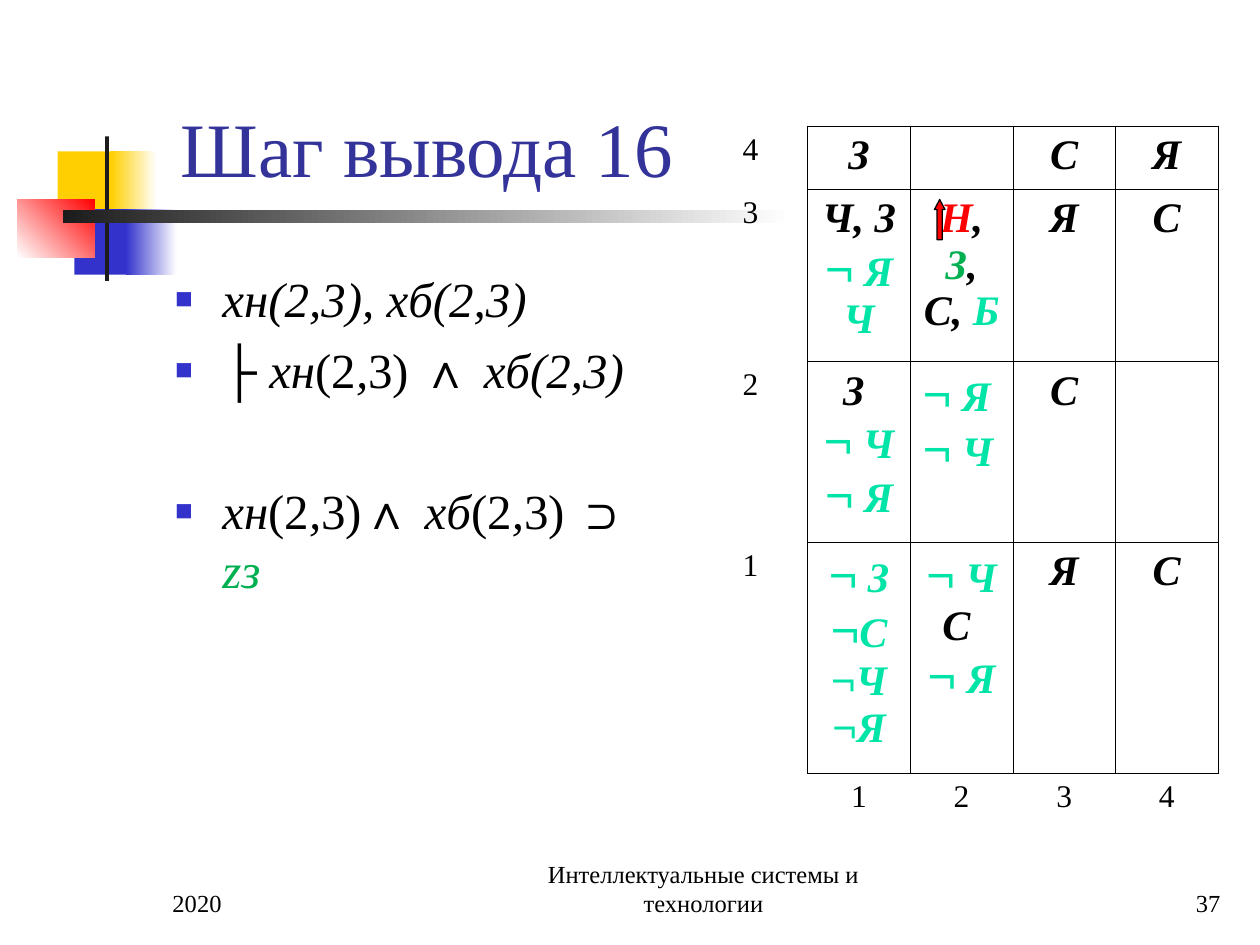
"""Build the slide for inference step 16 with its 4 by 4 knowledge grid."""
from lxml import etree
from pptx import Presentation
from pptx.dml.color import RGBColor
from pptx.enum.shapes import MSO_SHAPE
from pptx.enum.text import MSO_ANCHOR, PP_ALIGN
from pptx.oxml.ns import qn
from pptx.util import Pt

RECTANGLE, UP_ARROW = MSO_SHAPE.RECTANGLE, MSO_SHAPE.UP_ARROW
TOP, BOTTOM = MSO_ANCHOR.TOP, MSO_ANCHOR.BOTTOM
LEFT, CENTER, RIGHT = PP_ALIGN.LEFT, PP_ALIGN.CENTER, PP_ALIGN.RIGHT

BLACK = RGBColor(0x00, 0x00, 0x00)
WHITE = RGBColor(0xFF, 0xFF, 0xFF)
CHARCOAL = RGBColor(0x1C, 0x1C, 0x1C)
YELLOW = RGBColor(0xFF, 0xCF, 0x01)
BLUE = RGBColor(0x33, 0x33, 0xCC)
NAVY = RGBColor(0x33, 0x33, 0x99)
RED = RGBColor(0xFF, 0x00, 0x00)
GREEN = RGBColor(0x00, 0xB0, 0x50)
TEAL = RGBColor(0x00, 0xE4, 0xA8)

SERIF, SANS = "Times New Roman", "Arial"
NO_STYLE = "{2D5ABB26-0587-4C30-8999-92F81FD0307C}"


def add_run(paragraph, text, size, color=BLACK, name=SERIF, bold=False, italic=False):
    run = paragraph.add_run()
    run.text = text
    font = run.font
    font.size, font.name, font.bold, font.italic = Pt(size), name, bold, italic
    font.color.rgb = color


def add_frame(left, top, width, height, anchor):
    box = slide.shapes.add_textbox(Pt(left), Pt(top), Pt(width), Pt(height))
    box.text_frame.word_wrap = True
    box.text_frame.vertical_anchor = anchor
    return box.text_frame


prs = Presentation()
prs.slide_width, prs.slide_height = Pt(720), Pt(540)
slide = prs.slides.add_slide(prs.slide_layouts[6])

ornaments = [
    (33, 86.5, 34.5, 37.5, YELLOW, YELLOW, 0),
    (63.5, 86.5, 26, 37.5, YELLOW, WHITE, 0),
    (42.5, 119.5, 33, 37.5, BLUE, BLUE, 0),
    (72, 119.5, 29, 37.5, BLUE, WHITE, 0),
    (10, 113.75, 44, 33.25, WHITE, RED, 45),
    (60, 78, 2.25, 82.5, CHARCOAL, CHARCOAL, 0),
    (36, 120, 415.5, 7.25, CHARCOAL, WHITE, 0),
]
for left, top, width, height, start, end, angle in ornaments:
    ornament = slide.shapes.add_shape(RECTANGLE, Pt(left), Pt(top), Pt(width), Pt(height))
    ornament.shadow.inherit = False
    ornament.line.fill.background()
    if start == end:
        ornament.fill.solid()
        ornament.fill.fore_color.rgb = start
    else:
        ornament.fill.gradient()
        ornament.fill.gradient_angle = angle
        for stop, color in zip(ornament.fill.gradient_stops, (start, end)):
            stop.color.rgb = color

lines = [
    (96, 12, 613.5, 102, "Шаг вывода 16", 44, NAVY, LEFT),
    (91.5, 492, 150, 36, "2020", 14, BLACK, LEFT),
    (288, 492, 228, 36, "Интеллектуальные системы и технологии", 14, BLACK, CENTER),
    (554.5, 492, 150, 36, "37", 14, BLACK, RIGHT),
]
for left, top, width, height, text, size, color, alignment in lines:
    paragraph = add_frame(left, top, width, height, BOTTOM).paragraphs[0]
    paragraph.alignment = alignment
    add_run(paragraph, text, size, color)

ROMAN = {}
ITALIC = {"italic": True}
SYMBOL = {"name": SANS}
RESULT = {"italic": True, "color": GREEN}
formulas = [
    (7, [("xн(2,3), xб(2,3)", ITALIC)]),
    (7, [("├ ", ROMAN), ("xн", ITALIC), ("(2", ROMAN), (",", ITALIC), ("3) ", ROMAN),
         ("∧ ", SYMBOL), ("xб(2,3)", ITALIC)]),
    (47, [("xн", ITALIC), ("(2", ROMAN), (",", ITALIC), ("3)", ROMAN), ("∧ ", SYMBOL),
          ("xб", ITALIC), ("(2", ROMAN), (",", ITALIC), ("3) ", ROMAN),
          ("⊃ ", SYMBOL), ("zз", RESULT)]),
]
body = add_frame(93, 150, 300, 333, TOP)
for index, (gap, parts) in enumerate(formulas):
    paragraph = body.add_paragraph() if index else body.paragraphs[0]
    paragraph.space_before = Pt(gap)
    for text, style in parts:
        add_run(paragraph, text, 28, **style)
    properties = paragraph._p.get_or_add_pPr()
    properties.set("marL", str(Pt(27)))
    properties.set("indent", str(Pt(-27)))
    bullet_color = etree.SubElement(properties, qn("a:buClr"))
    etree.SubElement(bullet_color, qn("a:srgbClr"), val=str(BLUE))
    etree.SubElement(properties, qn("a:buSzPct"), val="60000")
    etree.SubElement(properties, qn("a:buFont"), typeface=SANS)
    etree.SubElement(properties, qn("a:buChar"), char="■")

NOT, SMALL_NOT = ("¬", TEAL, 28), ("¬", TEAL, 24)
KNOWN_C, KNOWN_YA = [[("С", BLACK, 24)]], [[("Я", BLACK, 24)]]
knowledge = [
    [[[("З", BLACK, 24)]], [], KNOWN_C, KNOWN_YA],
    [[[("Ч, З ", BLACK, 24), NOT, (" Я Ч", TEAL, 24)]],
     [[("Н", RED, 24), (", ", BLACK, 24), ("З", GREEN, 24), (", С, ", BLACK, 24),
       ("Б ", TEAL, 24)]],
     KNOWN_YA, KNOWN_C],
    [[[("З ", BLACK, 24)], [NOT, (" Ч ", TEAL, 24), NOT, (" Я", TEAL, 24)]],
     [[NOT, (" Я ", TEAL, 24), NOT, (" Ч", TEAL, 24)]],
     KNOWN_C, []],
    [[[NOT, (" З ", TEAL, 24), NOT, ("С", TEAL, 24), SMALL_NOT, ("Ч ", TEAL, 24),
       SMALL_NOT, ("Я", TEAL, 24)]],
     [[NOT, (" Ч", TEAL, 24), (" С ", BLACK, 24)], [NOT, (" Я", TEAL, 24)]],
     KNOWN_YA, KNOWN_C],
]
row_labels = [[[[(str(4 - row), BLACK, 18)]]] for row in range(4)]
column_labels = [[]] + [[[(str(column), BLACK, 18)]] for column in range(1, 5)]
grid = [label + cells for label, cells in zip(row_labels, knowledge)] + [column_labels]

table_frame = slide.shapes.add_table(5, 5, Pt(396), Pt(72), Pt(300), Pt(410))
table = table_frame.table
table.first_row = table.horz_banding = False
table._tbl.tblPr.find(qn("a:tableStyleId")).text = NO_STYLE
for column, width in zip(table.columns, [65.6] + [58.6] * 4):
    column.width = Pt(width)
for row, height in zip(table.rows, [36, 98.4, 103, 132, 41]):
    row.height = Pt(height)

for r, contents in enumerate(grid):
    for c, paragraphs in enumerate(contents):
        cell = table.cell(r, c)
        is_label = r == 4 or c == 0
        for index, parts in enumerate(paragraphs):
            frame = cell.text_frame
            paragraph = frame.add_paragraph() if index else frame.paragraphs[0]
            paragraph.alignment = CENTER
            if (r, c) == (2, 2):
                paragraph.alignment = LEFT
                paragraph.space_before = Pt(6)
            for text, color, size in parts:
                emphasis = not is_label and text != "¬"
                add_run(paragraph, text, size, color, SANS if text == "¬" else SERIF,
                        emphasis, emphasis)
        if not is_label:
            sides = ["a:lnL", "a:lnR", "a:lnT", "a:lnB"]
        elif r < 4:
            sides = ["a:lnR"]
        else:
            sides = ["a:lnT"] if c else []
        cell_properties = cell._tc.get_or_add_tcPr()
        for side in sides:
            border = etree.SubElement(cell_properties, qn(side), w=str(Pt(0.45)))
            border_fill = etree.SubElement(border, qn("a:solidFill"))
            etree.SubElement(border_fill, qn("a:srgbClr"), val=str(BLACK))
        cell.fill.background()

agent = slide.shapes.add_shape(UP_ARROW, Pt(534), Pt(114), Pt(6), Pt(23))
agent.adjustments[0], agent.adjustments[1] = 0.5, 0.95
agent.shadow.inherit = False
agent.fill.solid()
agent.fill.fore_color.rgb = RED
agent.line.color.rgb = BLACK
agent.line.width = Pt(0.75)

prs.save("out.pptx")
